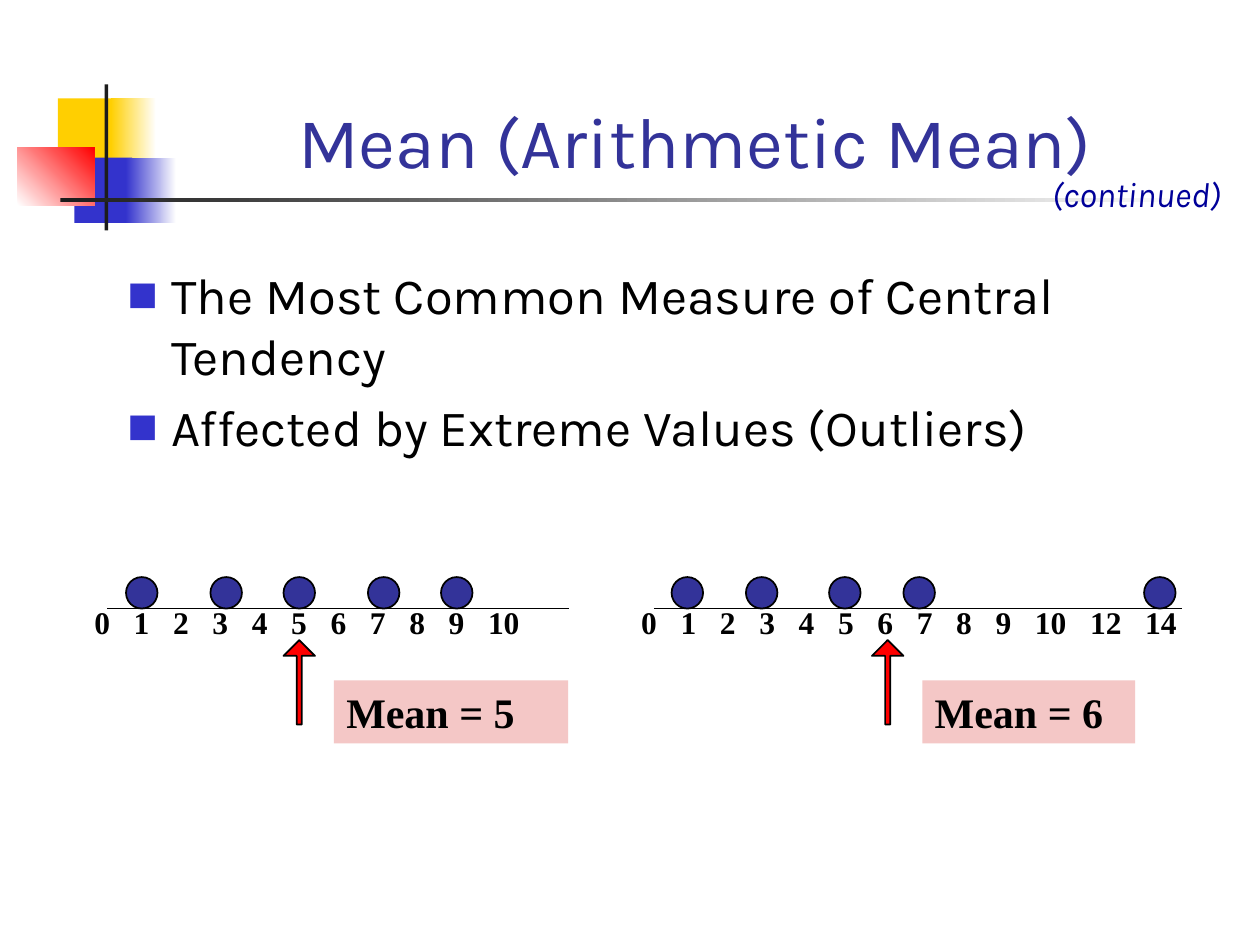
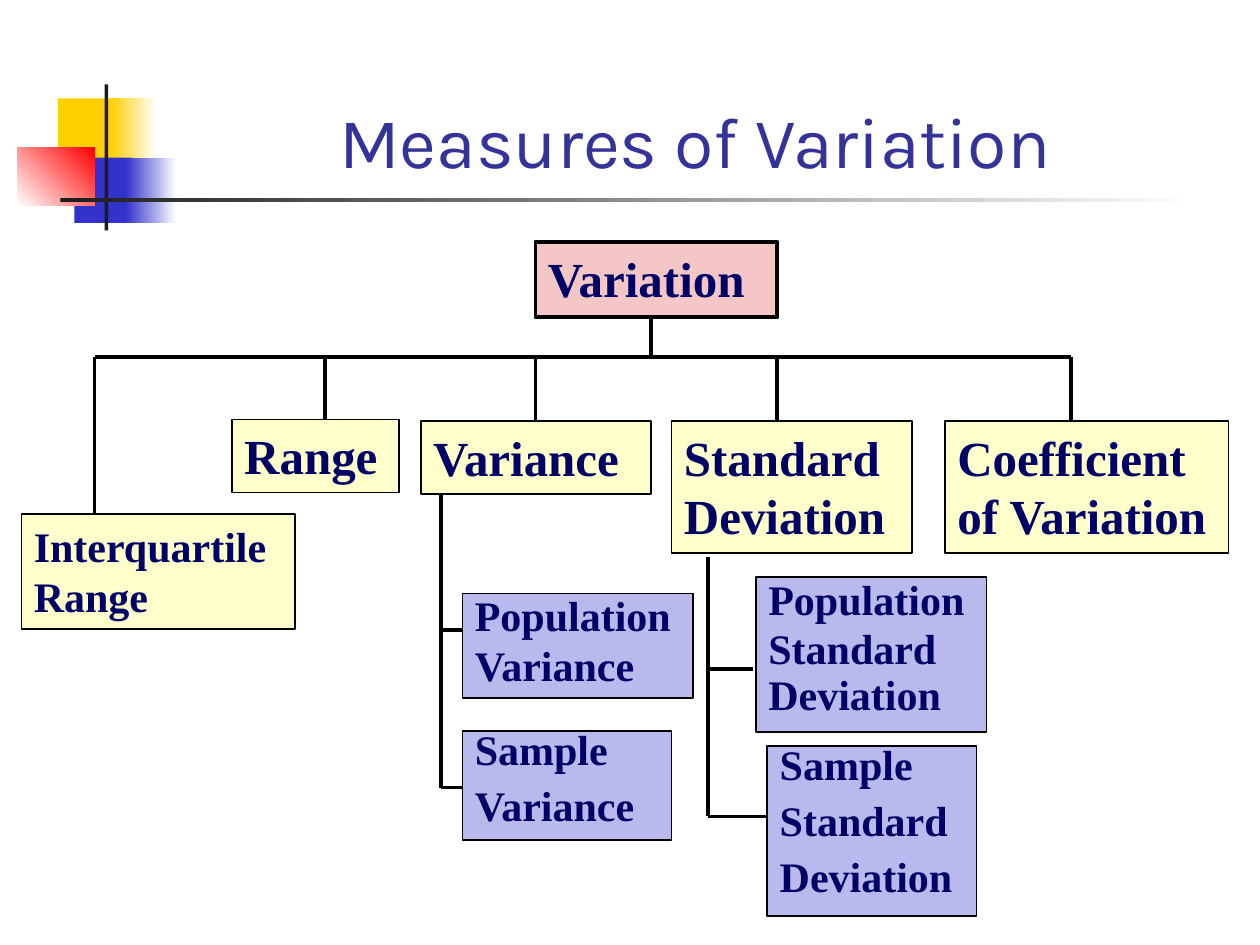
from dataclasses import dataclass
from itertools import accumulate

from lxml.etree import SubElement
from pptx import Presentation
from pptx.dml.color import RGBColor
from pptx.enum.shapes import MSO_CONNECTOR, MSO_SHAPE
from pptx.enum.text import MSO_ANCHOR, MSO_AUTO_SIZE, PP_ALIGN
from pptx.oxml.ns import qn
from pptx.util import Inches, Pt


@dataclass(frozen=True)
class Theme:
    heading_font: str = "Karla"
    label_font: str = "Times New Roman"
    title_color: str = "333399"
    note_color: str = "000099"
    navy: str = "000066"
    black: str = "000000"
    white: str = "FFFFFF"
    charcoal: str = "1C1C1C"
    yellow: str = "FFCF01"
    blue: str = "3333CC"
    red: str = "FF0000"
    pink: str = "F4C7C6"
    cream: str = "FFFFCC"
    lavender: str = "B9B9ED"
    title_size: float = 41
    body_size: float = 29
    node_size: float = 28
    label_size: float = 24
    note_size: float = 20
    scale_size: float = 18
    thin: float = 1
    thick: float = 2.25


THEME = Theme()
TITLE_AND_BODY, TITLE_ONLY = 1, 5


def assign(target, values):
    for name, value in values.items():
        setattr(target, name, value)


class Deck:
    def __init__(self, theme):
        self.theme = theme
        self.presentation = Presentation()
        assign(self.presentation, {"slide_width": Inches(10), "slide_height": Inches(7.5)})
        self.page = None

    def add_page(self, title, layout=TITLE_ONLY):
        theme = self.theme
        self.page = self.presentation.slides.add_slide(
            self.presentation.slide_layouts[layout])
        self.decorate()
        # Placeholders go in front of the decoration
        for holder in list(self.page.placeholders):
            holder.element.getparent().append(holder.element)
        box = self.page.shapes.title
        self.place(box, 1.26, 0.25, 8.52, 1.25)
        self.set_text(box, [title], theme.heading_font, theme.title_size, theme.title_color,
                      anchor=MSO_ANCHOR.BOTTOM, inset=0.09, align=PP_ALIGN.CENTER)

    def decorate(self):
        theme = self.theme
        self.shape(0.46, 0.78, 0.48, 0.52, theme.yellow)
        self.shape(0.88, 0.78, 0.36, 0.52, (theme.yellow, theme.white))
        self.shape(0.59, 1.25, 0.46, 0.52, theme.blue)
        self.shape(1, 1.25, 0.4, 0.52, (theme.blue, theme.white))
        self.shape(0.14, 1.17, 0.61, 0.46, (theme.white, theme.red), angle=45)
        self.shape(0.83, 0.67, 0.03, 1.16, theme.charcoal)
        self.shape(0.48, 1.57, 9, 0.03, (theme.charcoal, theme.white))

    def place(self, box, left, top, width, height):
        assign(box, {"left": Inches(left), "top": Inches(top),
                     "width": Inches(width), "height": Inches(height)})

    def shape(self, left, top, width, height, fill, kind=MSO_SHAPE.RECTANGLE,
              line=None, angle=0):
        """A fill given as a pair of colours is a gradient."""
        box = self.page.shapes.add_shape(
            kind, Inches(left), Inches(top), Inches(width), Inches(height))
        box.shadow.inherit = False
        if isinstance(fill, tuple):
            box.fill.gradient()
            box.fill.gradient_angle = angle
            for stop, color in zip(box.fill.gradient_stops, fill):
                stop.color.rgb = RGBColor.from_string(color)
        else:
            box.fill.solid()
            box.fill.fore_color.rgb = RGBColor.from_string(fill)
        if line:
            box.line.color.rgb = RGBColor.from_string(self.theme.black)
            box.line.width = Pt(line)
        else:
            box.line.fill.background()
        return box

    def set_text(self, box, lines, font, size, color, bold=False, italic=False,
                 anchor=MSO_ANCHOR.TOP, inset=0.1, align=PP_ALIGN.LEFT,
                 before=0, spacings=None, fit=MSO_AUTO_SIZE.NONE):
        frame = box.text_frame
        assign(frame, {"word_wrap": True, "auto_size": fit, "vertical_anchor": anchor,
                       "margin_left": Inches(inset), "margin_right": Inches(inset),
                       "margin_top": Inches(0.05), "margin_bottom": Inches(0.05)})
        for index, line in enumerate(lines):
            para = frame.paragraphs[0] if index == 0 else frame.add_paragraph()
            assign(para, {"alignment": align, "space_before": Pt(before if index else 0)})
            if spacings:
                para.line_spacing = spacings[index]
            span = para.add_run()
            span.text = line
            assign(span.font, {"name": font, "size": Pt(size), "bold": bold,
                               "italic": italic})
            span.font.color.rgb = RGBColor.from_string(color)

    def textbox(self, left, top, width, height, text, *style, **options):
        box = self.page.shapes.add_textbox(
            Inches(left), Inches(top), Inches(width), Inches(height))
        self.set_text(box, [text], *style, **options)
        return box

    def bullets(self, lines):
        theme = self.theme
        box = self.page.placeholders[1]
        self.place(box, 0.92, 2.04, 8.83, 4.96)
        self.set_text(box, lines, theme.heading_font, theme.body_size, theme.black,
                      inset=0.09, before=5.8)
        for para in box.text_frame.paragraphs:
            properties = para._p.get_or_add_pPr()
            properties.set("marL", str(Inches(0.35)))
            properties.set("indent", str(-Inches(0.35)))
            color = SubElement(properties, qn("a:buClr"))
            SubElement(color, qn("a:srgbClr"), val=theme.blue)
            SubElement(properties, qn("a:buFont"), typeface="Arial")
            SubElement(properties, qn("a:buChar"), char="■")

    def line(self, x1, y1, x2, y2, width):
        connector = self.page.shapes.add_connector(
            MSO_CONNECTOR.STRAIGHT, Inches(x1), Inches(y1), Inches(x2), Inches(y2))
        connector.line.color.rgb = RGBColor.from_string(self.theme.black)
        connector.line.width = Pt(width)
        SubElement(connector.element.spPr, qn("a:effectLst"))

    def label(self, left, top, width, height, lines, fill, size, color, line=None,
              **options):
        box = self.shape(left, top, width, height, fill, line=line)
        self.set_text(box, lines, self.theme.label_font, size, color, bold=True,
                      fit=MSO_AUTO_SIZE.SHAPE_TO_FIT_TEXT, **options)

    def scale(self, left, width, numbers):
        """Numbers on one line, each set at its own tab stop."""
        theme = self.theme
        labels = [str(number) for number in numbers]
        box = self.textbox(left, 4.74, width, 0.4, "\t".join(labels),
                           theme.label_font, theme.scale_size, theme.black, bold=True)
        digit, gap = 1 / 8, 3 / 16
        properties = box.text_frame.paragraphs[0]._p.get_or_add_pPr()
        stops = SubElement(properties, qn("a:tabLst"))
        for stop in accumulate(len(text) * digit + gap for text in labels[:-1]):
            SubElement(stops, qn("a:tab"), pos=str(Inches(stop)), algn="l")

    def dot_plot(self, axis, scale, numbers, dots, arrow_left, mean, mean_width):
        theme = self.theme
        self.line(axis[0], 4.83, axis[1], 4.83, theme.thin)
        self.scale(*scale, numbers)
        for left in dots:
            self.shape(left, 4.58, 0.25, 0.25, theme.title_color, MSO_SHAPE.OVAL, theme.thin)
        arrow = self.shape(arrow_left, 5.29, 0.67, 0.25, theme.red,
                           MSO_SHAPE.RIGHT_ARROW, theme.thin)
        arrow.rotation = 270
        arrow.adjustments[0], arrow.adjustments[1] = 0.16, 0.5
        self.label(arrow_left + 0.61, 5.4, mean_width, 0.5, [f"Mean = {mean}"],
                   theme.pink, theme.label_size, theme.black)

    def branch(self, x, top, twigs):
        """A stem with twigs to the right, each given as (height, end)."""
        self.line(x, top, x, twigs[-1][0], self.theme.thick)
        for y, end in twigs:
            self.line(x, y, end, y, self.theme.thick)


deck = Deck(THEME)

# Slide 1: mean and outliers
deck.add_page("Mean (Arithmetic Mean)", TITLE_AND_BODY)
deck.bullets(["The Most Common Measure of Central Tendency",
              "Affected by Extreme Values (Outliers)"])
deck.textbox(8.25, 1.32, 1.75, 0.43, "(continued)", THEME.heading_font,
             THEME.note_size, THEME.note_color, italic=True)
deck.dot_plot((0.85, 4.52), (0.65, 4.36), range(11),
              [1, 1.67, 2.25, 2.92, 3.5], 2.04, 5, 1.86)
deck.dot_plot((5.19, 9.38), (4.99, 4.69), [*range(11), 12, 14],
              [5.33, 5.92, 6.58, 7.17, 9.08], 6.71, 6, 1.69)

# Slide 2: tree of measures
deck.add_page("Measures of Variation")

# Connecting lines
bus = 2.83
deck.line(5.17, 2.5, 5.17, bus, THEME.thick)
deck.line(0.75, bus, 8.5, bus, THEME.thick)
for x, bottom in [(0.75, 4.13), (2.58, 3.33), (4.25, 3.35), (6.17, 3.33), (8.5, 3.33)]:
    deck.line(x, bus, x, bottom, THEME.thick)
deck.branch(3.5, 3.92, [(5, 3.79), (6.25, 3.92)])
deck.branch(5.62, 4.42, [(5.31, 5.98), (6.48, 6.08)])

# Root and main measures
deck.label(4.25, 1.92, 1.92, 0.6, ["Variation"], THEME.pink,
           THEME.node_size, THEME.navy, THEME.thick)
for left, top, width, height, text, size in [
    (0.17, 4.08, 2.17, 0.91, "Interquartile Range", THEME.label_size),
    (1.84, 3.33, 1.33, 0.58, "Range", THEME.node_size),
    (3.34, 3.34, 1.83, 0.58, "Variance", THEME.node_size),
    (5.33, 3.34, 1.91, 1.05, "Standard Deviation", THEME.node_size),
    (7.5, 3.34, 2.25, 1.05, "Coefficient of Variation", THEME.node_size),
]:
    deck.label(left, top, width, height, [text], THEME.cream, size, THEME.navy, THEME.thin)

# Population and sample measures
population, sample = (0.8, 0.5, 0.5), (0.7, 0.7, 0.7)
for left, top, width, height, text, spacings in [
    (3.67, 4.71, 1.83, 0.83, "Population Variance", population),
    (3.67, 5.8, 1.66, 0.87, "Sample Variance", sample),
    (6, 4.58, 1.83, 1.23, "Population Standard Deviation", population),
    (6.09, 5.92, 1.66, 1.35, "Sample Standard Deviation", sample),
]:
    deck.label(left, top, width, height, text.split(), THEME.lavender, THEME.label_size,
               THEME.navy, THEME.thin, before=12, spacings=spacings)

deck.presentation.save("out.pptx")
